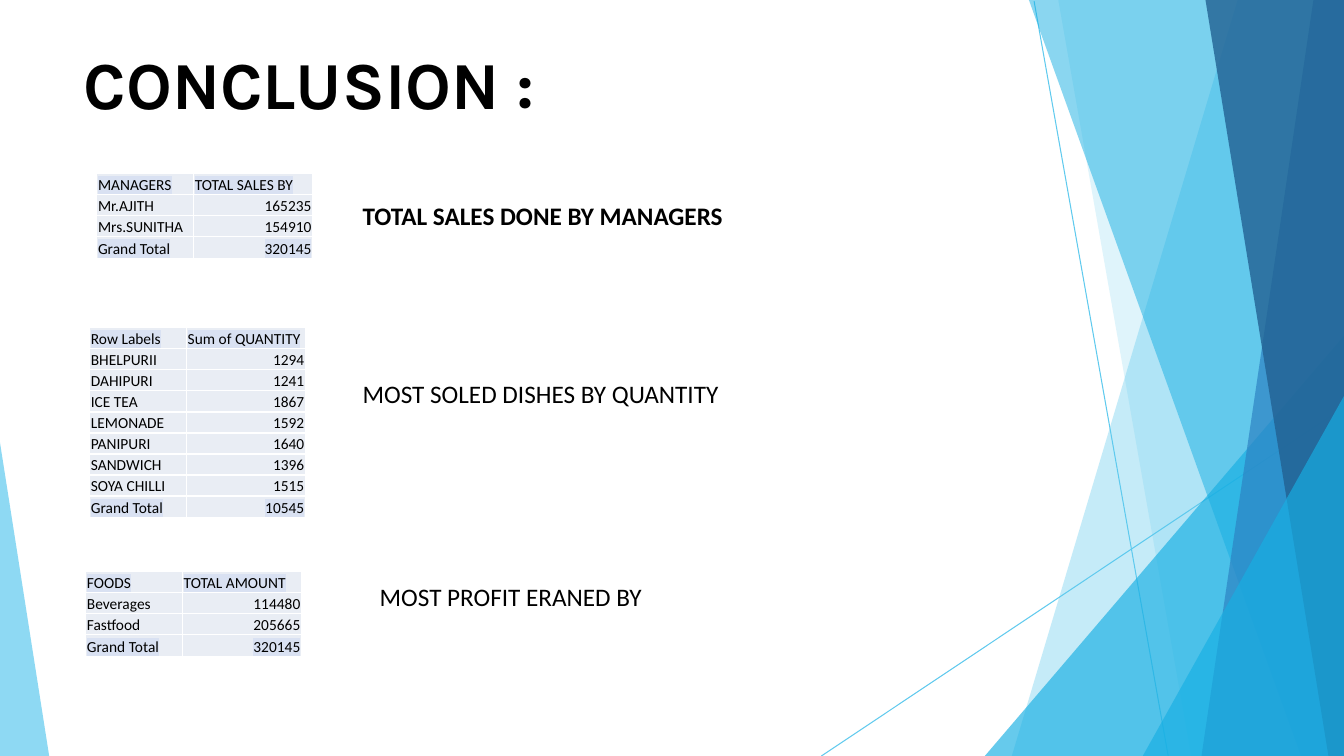
from dataclasses import dataclass

from lxml.etree import SubElement
from pptx import Presentation
from pptx.dml.color import RGBColor
from pptx.enum.shapes import MSO_CONNECTOR
from pptx.enum.text import MSO_ANCHOR, MSO_AUTO_SIZE, PP_ALIGN
from pptx.oxml.ns import qn
from pptx.util import Cm, Pt


@dataclass(frozen=True)
class Theme:
    title_font: str = "Karla"
    body_font: str = "Calibri"
    title_size: float = 48
    label_size: float = 18
    table_size: float = 11
    text: str = "000000"
    sky: str = "5FCAEE"
    cyan: str = "17AFE3"
    blue: str = "2D83C3"
    navy: str = "226192"
    cell: str = "E9EDF4"
    border: str = "FFFFFF"
    highlight: str = "D9E1F2"


THEME = Theme()
WIDTH, HEIGHT = 33.87, 19.05


def add_color(parent, value):
    return SubElement(parent, qn("a:srgbClr"), val=value)


def write(frame, text, font=THEME.body_font, size=THEME.label_size, bold=False,
          align=PP_ALIGN.LEFT, highlight=None):
    paragraph = frame.paragraphs[0]
    paragraph.alignment = align
    run = paragraph.add_run()
    run.text = text
    run.font.size = Pt(size)
    run.font.bold = bold
    run.font.color.rgb = RGBColor.from_string(THEME.text)
    if highlight:
        properties = run.font._element
        mark = SubElement(properties, qn("a:highlight"))
        add_color(mark, highlight)
    run.font.name = font


class SlideBuilder:
    def __init__(self, slide, theme):
        self.slide = slide
        self.theme = theme

    def line(self, *ends):
        connector = self.slide.shapes.add_connector(
            MSO_CONNECTOR.STRAIGHT, *(Cm(value) for value in ends))
        connector.line.color.rgb = RGBColor.from_string(self.theme.sky)
        connector.line.width = Pt(0.75)
        SubElement(connector._element.spPr, qn("a:effectLst"))

    def panel(self, top_x, top, bottom_x, color, opacity, side=WIDTH):
        """Fill the area between a slanted edge and one side of the slide."""
        corners = [(side, top), (top_x, top), (bottom_x, HEIGHT), (side, HEIGHT)]
        points = [(Cm(x), Cm(y)) for x, y in corners]
        builder = self.slide.shapes.build_freeform(*points[0])
        builder.add_line_segments(points[1:], close=True)
        shape = builder.convert_to_shape()
        shape.shadow.inherit = False
        shape.line.fill.background()
        shape.fill.solid()
        shape.fill.fore_color.rgb = RGBColor.from_string(color)
        fill_color = shape._element.spPr.find(f"{qn('a:solidFill')}/{qn('a:srgbClr')}")
        SubElement(fill_color, qn("a:alpha"), val=str(opacity * 1000))

    def title(self, text, left, top, width, height):
        shape = self.slide.shapes.title
        shape.left, shape.top, shape.width, shape.height = map(Cm, (left, top, width, height))
        frame = shape.text_frame
        frame.margin_left = frame.margin_right = frame.margin_top = frame.margin_bottom = 0
        frame.vertical_anchor = MSO_ANCHOR.TOP
        frame.auto_size = MSO_AUTO_SIZE.SHAPE_TO_FIT_TEXT
        write(frame, text, font=self.theme.title_font, size=self.theme.title_size, bold=True)

    def label(self, text, left, top, bold=False):
        box = self.slide.shapes.add_textbox(Cm(left), Cm(top), Cm(16.97), Cm(1.02))
        box.text_frame.word_wrap = True
        box.text_frame.auto_size = MSO_AUTO_SIZE.SHAPE_TO_FIT_TEXT
        write(box.text_frame, text, bold=bold)

    def table(self, rows, left, top):
        last = len(rows) - 1
        widths = (2.44, 3)
        table = self.slide.shapes.add_table(
            len(rows), len(widths), Cm(left), Cm(top),
            Cm(sum(widths)), Cm(0.53 * last + 0.55)).table
        table.first_row = table.horz_banding = False
        for column, width in zip(table.columns, widths):
            column.width = Cm(width)
        for i, values in enumerate(rows):
            table.rows[i].height = Cm(0.55 if i == last else 0.53)
            for j, value in enumerate(values):
                self.cell(table.cell(i, j), value, emphasis=i in (0, last),
                          align=PP_ALIGN.RIGHT if i and j else PP_ALIGN.LEFT)

    def cell(self, cell, value, emphasis, align):
        cell.margin_left = cell.margin_right = cell.margin_top = Cm(0.03)
        cell.margin_bottom = 0
        cell.vertical_anchor = MSO_ANCHOR.BOTTOM
        properties = cell._tc.get_or_add_tcPr()
        for edge in ("lnL", "lnR", "lnT", "lnB"):
            border = SubElement(properties, qn(f"a:{edge}"), w=str(Pt(1)))
            add_color(SubElement(border, qn("a:solidFill")), self.theme.border)
        cell.fill.solid()
        cell.fill.fore_color.rgb = RGBColor.from_string(self.theme.cell)
        write(cell.text_frame, str(value), size=self.theme.table_size, align=align,
              highlight=self.theme.highlight if emphasis else None)


def main():
    presentation = Presentation()
    presentation.slide_width, presentation.slide_height = Cm(WIDTH), Cm(HEIGHT)
    slide = presentation.slides.add_slide(presentation.slide_layouts[5])
    builder = SlideBuilder(slide, THEME)

    # Decorative lines and translucent panels
    builder.line(26.06, 0.03, 29.44, HEIGHT)
    builder.line(WIDTH, 10.26, 20.7, HEIGHT)
    for top_x, top, bottom_x, color, opacity in [
        (31.19, 0, 25.5, THEME.sky, 36),
        (26.67, 0, 30.02, THEME.sky, 20),
        (WIDTH, 8.46, 24.82, THEME.cyan, 66),
        (25.93, 0, 32.79, THEME.cyan, 50),
        (33.1, 0, 30.28, THEME.blue, 70),
        (30.38, 0, 33.48, THEME.navy, 80),
        (WIDTH, 9.98, 28.8, THEME.cyan, 66),
    ]:
        builder.panel(top_x, top, bottom_x, color, opacity)
    builder.panel(0, 11.15, 1.24, THEME.sky, 70, side=0)

    # Title
    builder.title("CONCLUSION :", 2.11, 1.07, 29.67, 2.11)

    # Sales by manager
    builder.table([
        ("MANAGERS", "TOTAL SALES BY"),
        ("Mr.AJITH", 165235),
        ("Mrs.SUNITHA", 154910),
        ("Grand Total", 320145),
    ], 2.44, 4.37)
    builder.label("TOTAL SALES DONE BY MANAGERS", 8.89, 4.93, bold=True)

    # Dishes by quantity
    builder.table([
        ("Row Labels", "Sum of QUANTITY"),
        ("BHELPURII", 1294),
        ("DAHIPURI", 1241),
        ("ICE TEA", 1867),
        ("LEMONADE", 1592),
        ("PANIPURI", 1640),
        ("SANDWICH", 1396),
        ("SOYA CHILLI", 1515),
        ("Grand Total", 10545),
    ], 2.26, 8.26)
    builder.label("MOST SOLED DISHES BY QUANTITY", 8.89, 9.4)

    # Profit by food type
    builder.table([
        ("FOODS", "TOTAL AMOUNT"),
        ("Beverages", 114480),
        ("Fastfood", 205665),
        ("Grand Total", 320145),
    ], 2.16, 14.4)
    builder.label("MOST PROFIT ERANED BY", 9.32, 14.53)

    presentation.save("out.pptx")


if __name__ == "__main__":
    main()
